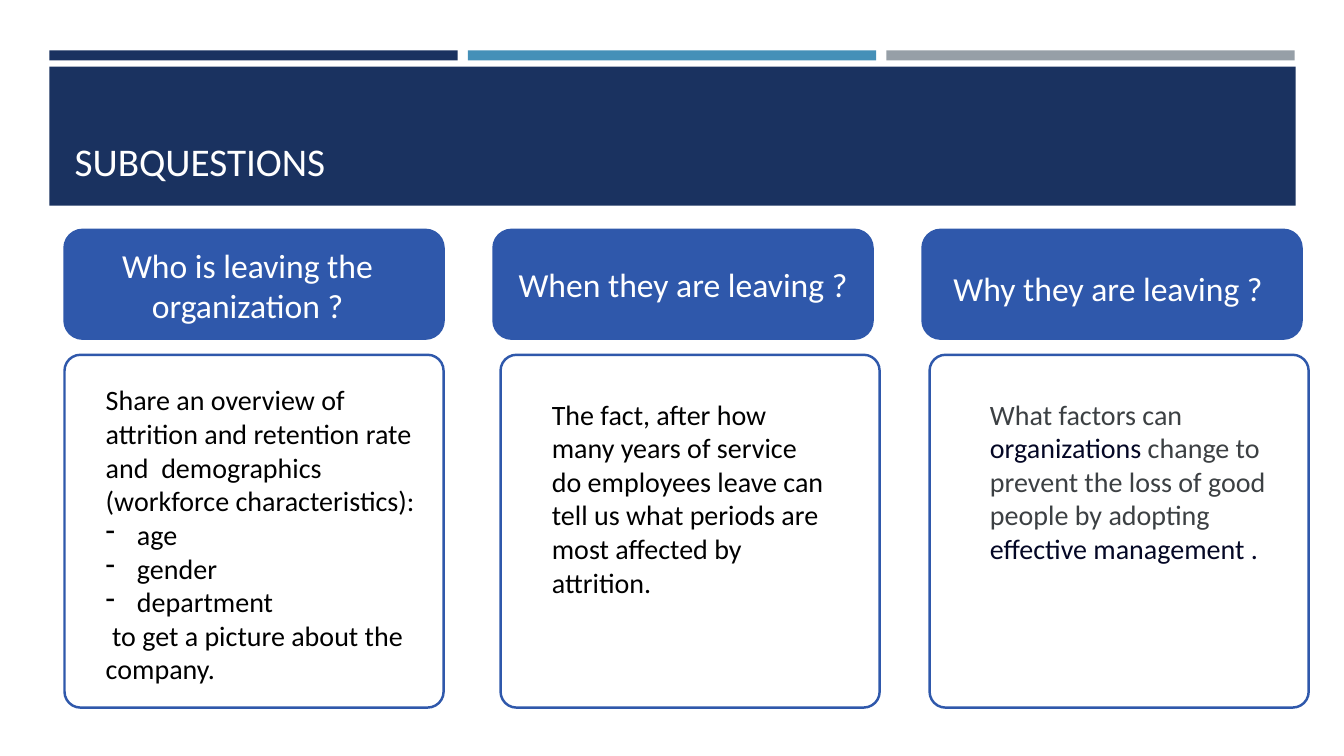
from dataclasses import dataclass

from lxml import etree
from pptx import Presentation
from pptx.dml.color import RGBColor
from pptx.enum.shapes import MSO_SHAPE
from pptx.enum.text import MSO_ANCHOR, PP_ALIGN
from pptx.oxml.ns import qn
from pptx.util import Inches, Pt


@dataclass(frozen=True)
class Theme:
    navy: str = "1A3260"
    sky: str = "4590B8"
    gray: str = "969FA7"
    blue: str = "2F58AB"
    white: str = "FFFFFF"
    black: str = "000000"
    slate: str = "3C4043"
    ink: str = "040725"
    font: str = "Calibri"
    title_size: int = 28
    heading_size: int = 24
    text_size: int = 20
    outline: float = 1.75


THEME = Theme()


def place(shape, box):
    shape.left, shape.top, shape.width, shape.height = [Inches(value) for value in box]


def add_block(slide, kind, box, fill=None, line=None):
    shape = slide.shapes.add_shape(kind, *[Inches(value) for value in box])
    shape.shadow.inherit = False
    if fill:
        shape.fill.solid()
        shape.fill.fore_color.rgb = RGBColor.from_string(fill)
    else:
        shape.fill.background()
    if line:
        shape.line.color.rgb = RGBColor.from_string(line)
        shape.line.width = Pt(THEME.outline)
    else:
        shape.line.fill.background()
    return shape


def add_text_box(slide, box):
    text_box = slide.shapes.add_textbox(*[Inches(value) for value in box])
    text_box.text_frame.word_wrap = True
    return text_box


def format_span(span, size, color):
    span.font.name = THEME.font
    span.font.size = Pt(size)
    span.font.color.rgb = RGBColor.from_string(color)


def set_bullet(para, mark=None):
    """Give the paragraph a hanging mark, or no bullet and no indent."""
    properties = para._p.get_or_add_pPr()
    indent = Inches(0.31) if mark else 0
    properties.set("marL", str(indent))
    properties.set("indent", str(-indent))
    if mark:
        etree.SubElement(properties, qn("a:buChar")).set("char", mark)
    else:
        etree.SubElement(properties, qn("a:buNone"))


def write_line(shape, text, size, align, anchor):
    frame = shape.text_frame
    frame.word_wrap = True
    frame.vertical_anchor = anchor
    frame.text = text
    para = frame.paragraphs[0]
    para.alignment = align
    format_span(para.runs[0], size, THEME.white)
    return para


# Title band with three accent bars
def build_title_band(slide, box):
    left, top, width, height = box
    for index, color in enumerate((THEME.navy, THEME.sky, THEME.gray)):
        bar = (left + index * 4.15, top, 4.05, 0.1)
        add_block(slide, MSO_SHAPE.RECTANGLE, bar, fill=color)
    band = (left, top + 0.16, width, height - 0.16)
    add_block(slide, MSO_SHAPE.RECTANGLE, band, fill=THEME.navy)

    title = slide.shapes.title
    place(title, (left + 0.15, top + 0.3, width - 0.3, 1.08))
    write_line(title, "SUBQUESTIONS", THEME.title_size, PP_ALIGN.LEFT, MSO_ANCHOR.BOTTOM)
    slide.shapes._spTree.append(title._element)


# Heading: a filled block, its words inside or in a holder laid over it
def build_heading(slide, box, text, holder=None, holder_box=None):
    block = add_block(slide, MSO_SHAPE.ROUNDED_RECTANGLE, box, THEME.blue, THEME.blue)
    if holder_box:
        left, top = box[:2]
        shift_x, shift_y, width, height = holder_box
        area = (left + shift_x, top + shift_y, width, height)
        if holder is None:
            holder = add_text_box(slide, area)
        else:
            place(holder, area)
            slide.shapes._spTree.append(holder._element)
    para = write_line(holder or block, text, THEME.heading_size,
                      PP_ALIGN.CENTER, MSO_ANCHOR.MIDDLE)
    if holder is not None and holder.is_placeholder:
        para.space_after = Pt(6)
        set_bullet(para)


# Panel: an outlined block with paragraphs of (mark, [(text, color), ...])
def build_panel(slide, box, text_area, paragraphs):
    left, top = box[:2]
    panel = add_block(slide, MSO_SHAPE.ROUNDED_RECTANGLE, box, line=THEME.blue)
    panel.adjustments[0] = 0.045

    shift_x, shift_y, width, height = text_area
    text_box = add_text_box(slide, (left + shift_x, top + shift_y, width, height))
    frame = text_box.text_frame
    for index, (mark, spans) in enumerate(paragraphs):
        para = frame.add_paragraph() if index else frame.paragraphs[0]
        if mark:
            set_bullet(para, mark)
        for text, color in spans:
            span = para.add_run()
            span.text = text
            format_span(span, THEME.text_size, color)


def build_subquestions(deck):
    slide = deck.slides.add_slide(deck.slide_layouts[1])
    body = slide.placeholders[1]
    build_title_band(slide, (0.49, 0.5, 12.36, 1.54))

    who = [
        (None, [("Share an overview of attrition and retention rate and  demographics "
                 "(workforce characteristics):", THEME.black)]),
        *[("-", [(item, THEME.black)]) for item in ("age", "gender", "department")],
        (None, [(" to get a picture about the company.", THEME.black)]),
    ]
    when = [(None, [("The fact, after how many years of service do employees leave can "
                     "tell us what periods are most affected by attrition.", THEME.black)])]
    why = [(None, [
        ("What factors can ", THEME.slate),
        ("organizations", THEME.ink),
        (" change to prevent the loss of good people by adopting ", THEME.slate),
        ("effective management .", THEME.ink),
    ])]

    # heading, its holder and holder area, panel shift, panel text area, panel text
    columns = [
        ("Who is leaving the organization ?", body, (0, 0.16, 3.63, 0.77),
         0, (0.31, 0.23, 3.31, 3.13), who),
        ("When they are leaving ?", None, None,
         0.07, (0.41, 0.37, 2.93, 2.12), when),
        ("Why they are leaving ?", None, (0.13, 0.33, 3.42, 0.5),
         0.07, (0.5, 0.37, 3.12, 1.78), why),
    ]
    for index, (heading, holder, holder_box, shift, text_area, text) in enumerate(columns):
        left = 0.64 + index * 4.255
        build_heading(slide, (left, 2.28, 3.76, 1.08), heading, holder, holder_box)
        build_panel(slide, (left + shift, 3.52, 3.76, 3.5), text_area, text)


def main():
    deck = Presentation()
    deck.slide_width = Inches(13.33)
    deck.slide_height = Inches(7.5)
    build_subquestions(deck)
    deck.save("out.pptx")


if __name__ == "__main__":
    main()
